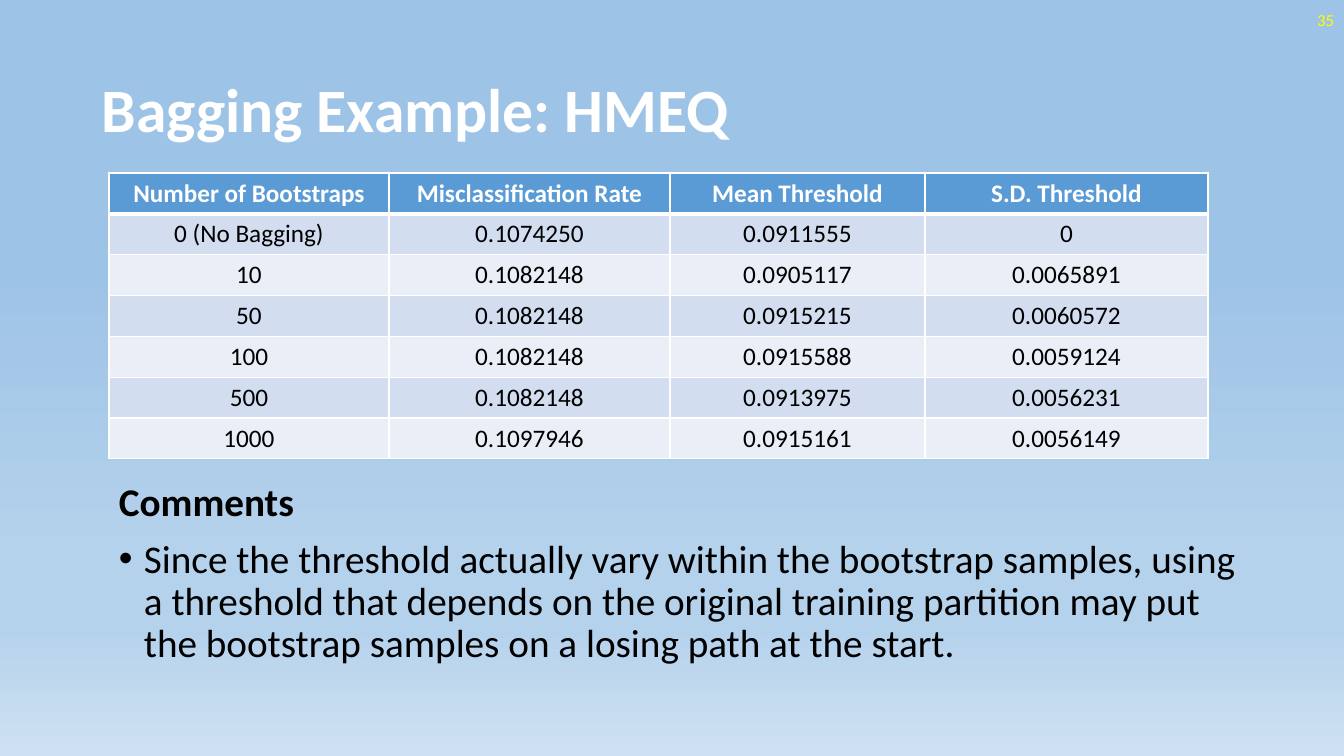
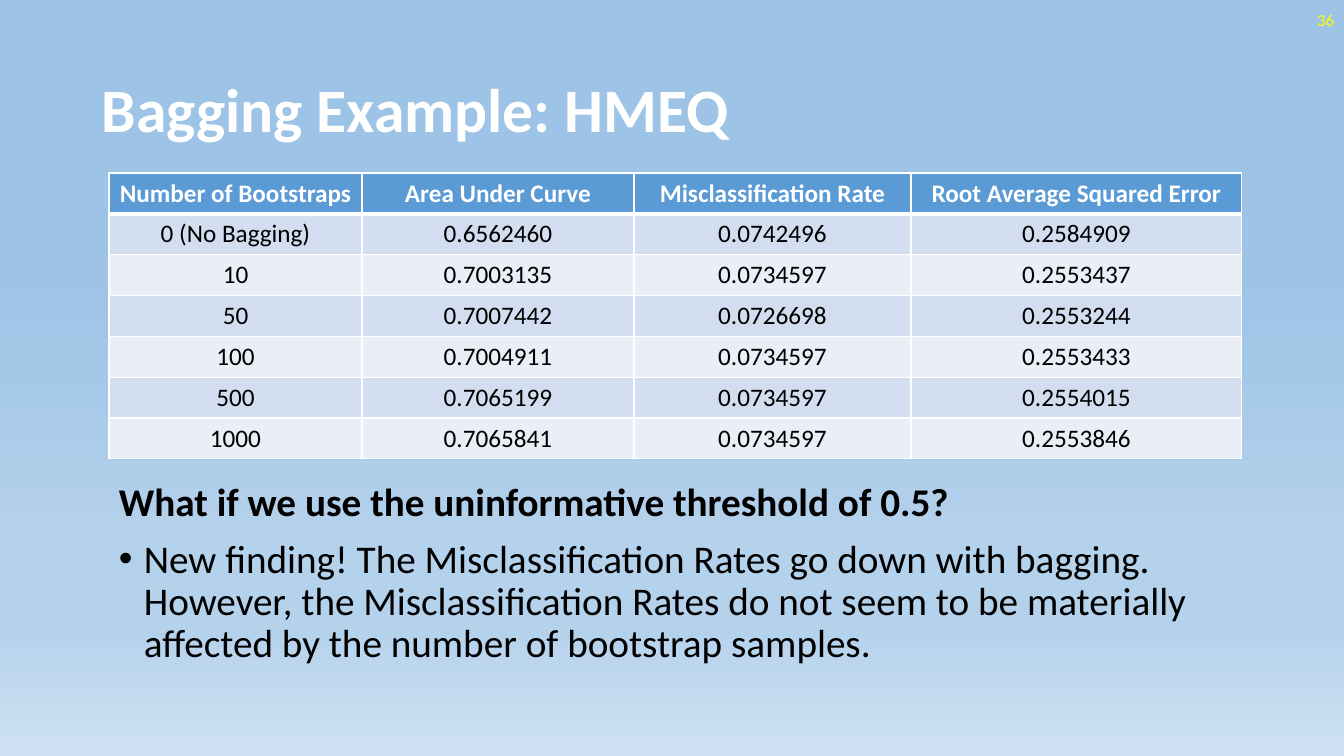
from dataclasses import dataclass
from itertools import chain

from lxml import etree
from pptx import Presentation
from pptx.dml.color import RGBColor
from pptx.enum.text import MSO_ANCHOR, PP_ALIGN
from pptx.oxml.ns import qn
from pptx.util import Emu, Pt

LEFT, CENTER, RIGHT = PP_ALIGN.LEFT, PP_ALIGN.CENTER, PP_ALIGN.RIGHT
TOP, MIDDLE = MSO_ANCHOR.TOP, MSO_ANCHOR.MIDDLE

EMU_PER_PX = 914400 / 100.8
TITLE = "Bagging Example: HMEQ"
FIRST_NUMBER = 35


@dataclass(frozen=True)
class Theme:
    font: str = "Calibri"
    bullet_font: str = "Arial"
    white: str = "FFFFFF"
    black: str = "000000"
    number: str = "FFFF00"
    header: str = "5B9BD5"
    bands: tuple = ("D2DEEF", "EAEFF7")
    gradient: tuple = ((35, "9DC3E6"), (74, "B5D2EC"), (83, "B5D2EC"), (100, "CEE1F2"))
    title_size: int = 44
    body_size: int = 28
    table_size: int = 18
    number_size: int = 12
    thin_border: int = 1
    header_border: int = 3
    line_spacing: float = 0.9
    space_before: int = 10


@dataclass(frozen=True)
class Area:
    left: int
    top: int
    width: int
    height: int


@dataclass(frozen=True)
class Example:
    columns: tuple
    header: tuple
    rows: tuple
    heading: str
    comment: str


THEME = Theme()
PAGE = Area(0, 0, 1344, 756)
TITLE_AREA = Area(92, 40, 1159, 146)
NUMBER_AREA = Area(1042, 0, 302, 40)
COMMENT_AREA = Area(109, 478, 1159, 220)
TABLE_LEFT, TABLE_TOP, TABLE_HEIGHT = 109, 173, 286
BULLET_INDENT = 25

EXAMPLES = (
    Example(
        columns=(280, 281, 255, 283),
        header=("Number of Bootstraps", "Misclassification Rate", "Mean Threshold", "S.D. Threshold"),
        rows=(
            ("0 (No Bagging)", "0.1074250", "0.0911555", "0"),
            ("10", "0.1082148", "0.0905117", "0.0065891"),
            ("50", "0.1082148", "0.0915215", "0.0060572"),
            ("100", "0.1082148", "0.0915588", "0.0059124"),
            ("500", "0.1082148", "0.0913975", "0.0056231"),
            ("1000", "0.1097946", "0.0915161", "0.0056149"),
        ),
        heading="Comments",
        comment="Since the threshold actually vary within the bootstrap samples, using a threshold "
                "that depends on the original training partition may put the bootstrap samples on "
                "a losing path at the start.",
    ),
    Example(
        columns=(253, 272, 277, 331),
        header=("Number of Bootstraps", "Area Under Curve", "Misclassification Rate",
                "Root Average Squared Error"),
        rows=(
            ("0 (No Bagging)", "0.6562460", "0.0742496", "0.2584909"),
            ("10", "0.7003135", "0.0734597", "0.2553437"),
            ("50", "0.7007442", "0.0726698", "0.2553244"),
            ("100", "0.7004911", "0.0734597", "0.2553433"),
            ("500", "0.7065199", "0.0734597", "0.2554015"),
            ("1000", "0.7065841", "0.0734597", "0.2553846"),
        ),
        heading="What if we use the uninformative threshold of 0.5?",
        comment="New finding! The Misclassification Rates go down with bagging. However, the "
                "Misclassification Rates do not seem to be materially affected by the number of "
                "bootstrap samples.",
    ),
)


def px(length: int) -> Emu:
    return Emu(round(length * EMU_PER_PX))


def write_text(para, text: str, *, size: int, color: str, bold: bool = False, align=LEFT,
               line_spacing: float = 1.0, space_before: int = 0, bullet: bool = False) -> None:
    para.alignment = align
    para.line_spacing = line_spacing
    para.space_before = Pt(space_before)
    span = para.add_run()
    span.text = text
    span.font.name = THEME.font
    span.font.size = Pt(size)
    span.font.bold = bold
    span.font.color.rgb = RGBColor.from_string(color)
    if bullet:
        properties = para._p.get_or_add_pPr()
        properties.set("marL", str(px(BULLET_INDENT)))
        properties.set("indent", str(-px(BULLET_INDENT)))
        etree.SubElement(properties, qn("a:buFont"), typeface=THEME.bullet_font)
        etree.SubElement(properties, qn("a:buChar"), char="•")


def add_text_frame(page, area: Area, anchor=TOP):
    box = page.shapes.add_textbox(px(area.left), px(area.top), px(area.width), px(area.height))
    box.text_frame.word_wrap = True
    box.text_frame.vertical_anchor = anchor
    return box.text_frame


def set_borders(cell, top: int, bottom: int) -> None:
    """Draw white borders; the line elements have to precede the cell fill."""
    properties = cell._tc.get_or_add_tcPr()
    widths = {"a:lnL": THEME.thin_border, "a:lnR": THEME.thin_border, "a:lnT": top, "a:lnB": bottom}
    for position, (tag, width) in enumerate(widths.items()):
        line = etree.Element(qn(tag), w=str(Pt(width)))
        fill = etree.SubElement(line, qn("a:solidFill"))
        etree.SubElement(fill, qn("a:srgbClr"), val=THEME.white)
        properties.insert(position, line)


def add_results_table(page, example: Example) -> None:
    row_count = len(example.rows) + 1
    table = page.shapes.add_table(
        row_count, len(example.columns), px(TABLE_LEFT), px(TABLE_TOP),
        px(sum(example.columns)), px(TABLE_HEIGHT)).table
    table.horz_banding = False
    for column, width in zip(table.columns, example.columns):
        column.width = px(width)
    for row in table.rows:
        row.height = Emu(px(TABLE_HEIGHT) // row_count)
    for row_index, values in enumerate(chain([example.header], example.rows)):
        is_header = row_index == 0
        fill = THEME.header if is_header else THEME.bands[(row_index - 1) % 2]
        for column_index, value in enumerate(values):
            cell = table.cell(row_index, column_index)
            cell.fill.solid()
            cell.fill.fore_color.rgb = RGBColor.from_string(fill)
            set_borders(cell,
                        top=THEME.header_border if row_index == 1 else THEME.thin_border,
                        bottom=THEME.header_border if is_header else THEME.thin_border)
            write_text(cell.text_frame.paragraphs[0], value, size=THEME.table_size, bold=is_header,
                       color=THEME.white if is_header else THEME.black, align=CENTER)


def add_comments(page, example: Example) -> None:
    frame = add_text_frame(page, COMMENT_AREA)
    shared = dict(size=THEME.body_size, color=THEME.black, line_spacing=THEME.line_spacing,
                  space_before=THEME.space_before)
    write_text(frame.paragraphs[0], example.heading, bold=True, **shared)
    write_text(frame.add_paragraph(), example.comment, bullet=True, **shared)


def add_page(deck, number: int, example: Example) -> None:
    page = deck.slides.add_slide(deck.slide_layouts[6])
    title = add_text_frame(page, TITLE_AREA, MIDDLE)
    write_text(title.paragraphs[0], TITLE, size=THEME.title_size, color=THEME.white, bold=True,
               line_spacing=THEME.line_spacing)
    page_number = add_text_frame(page, NUMBER_AREA, MIDDLE)
    write_text(page_number.paragraphs[0], str(number), size=THEME.number_size,
               color=THEME.number, align=RIGHT)
    add_results_table(page, example)
    add_comments(page, example)


def set_master_background(deck) -> None:
    """Give every page the vertical gradient through the slide master."""
    master = deck.slide_master
    fill = master.background.fill
    fill.gradient()
    fill.gradient_angle = 270
    stops = master.element.find(".//" + qn("a:gsLst"))
    for stop in list(stops):
        stops.remove(stop)
    for percent, color in THEME.gradient:
        stop = etree.SubElement(stops, qn("a:gs"), pos=str(percent * 1000))
        etree.SubElement(stop, qn("a:srgbClr"), val=color)


def main() -> None:
    deck = Presentation()
    deck.slide_width, deck.slide_height = px(PAGE.width), px(PAGE.height)
    set_master_background(deck)
    for number, example in enumerate(EXAMPLES, start=FIRST_NUMBER):
        add_page(deck, number, example)
    deck.save("out.pptx")


if __name__ == "__main__":
    main()
